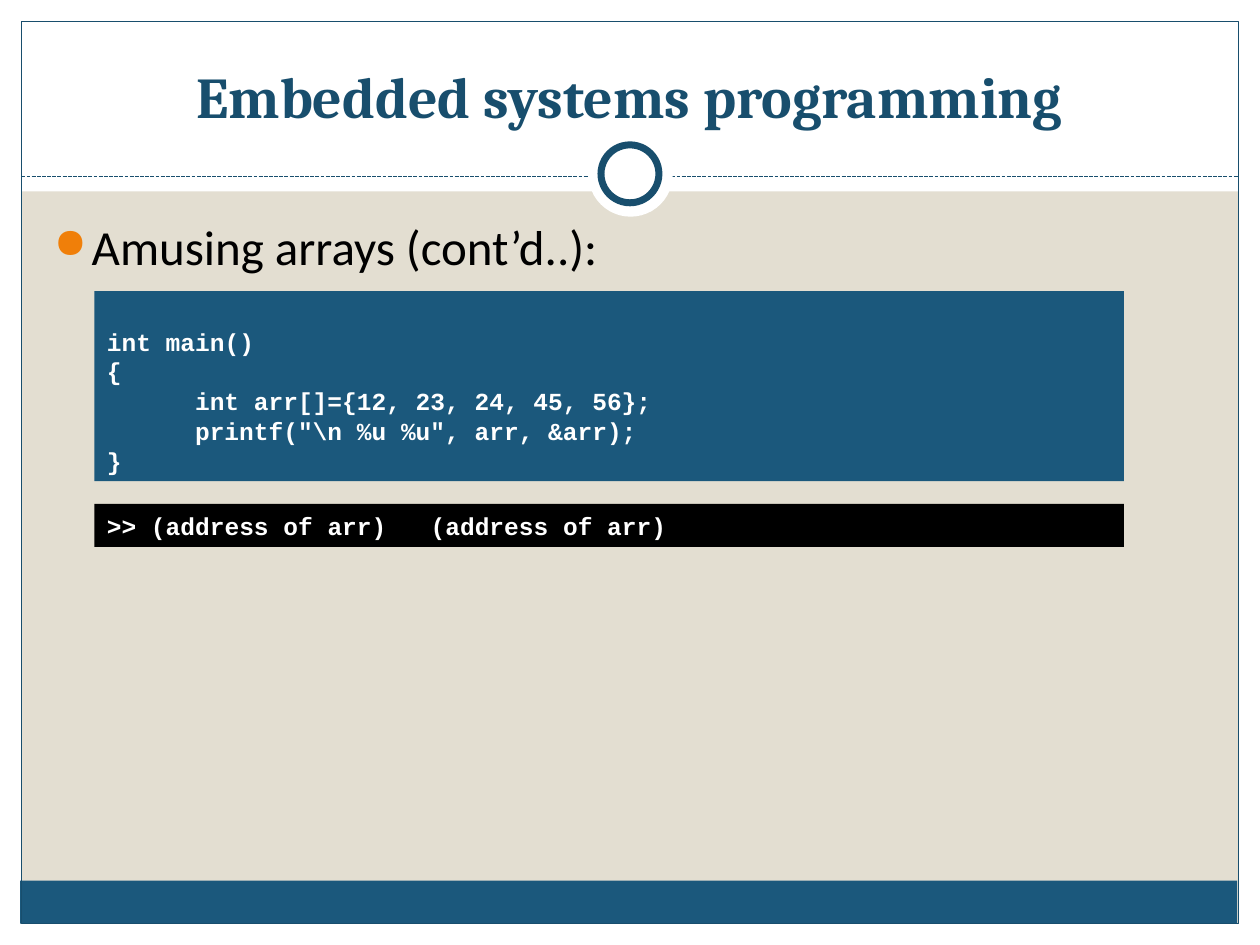
import dataclasses

import lxml.etree
import pptx
import pptx.dml.color
import pptx.enum.dml
import pptx.enum.shapes
import pptx.enum.text
import pptx.oxml.ns
import pptx.util

Inches = pptx.util.Inches
Pt = pptx.util.Pt
ANCHOR = pptx.enum.text.MSO_ANCHOR
ALIGN = pptx.enum.text.PP_ALIGN
SHAPE = pptx.enum.shapes.MSO_SHAPE


@dataclasses.dataclass(frozen=True)
class Theme:
    background: str = "E3DED1"
    white: str = "FFFFFF"
    black: str = "000000"
    navy: str = "184E6D"
    blue: str = "1B587C"
    orange: str = "F07F09"
    title_font: str = "Cambria"
    body_font: str = "Calibri"
    code_font: str = "Courier New"
    title_size: int = 33
    body_size: int = 28
    code_size: int = 14
    code_pitch: int = 17


THEME = Theme()


def rgb(value):
    return pptx.dml.color.RGBColor.from_string(value)


def set_attributes(target, values):
    for name, value in values.items():
        setattr(target, name, value)


def add_xml(parent, tag, **attributes):
    return lxml.etree.SubElement(parent, pptx.oxml.ns.qn(tag), attributes)


def place(shape, left, top, width, height):
    set_attributes(shape, {"left": Inches(left), "top": Inches(top),
                           "width": Inches(width), "height": Inches(height)})


def add_block(slide, kind, box, fill=None, line=None, line_width=0.75):
    shape = slide.shapes.add_shape(kind, *map(Inches, box))
    shape.shadow.inherit = False
    if fill:
        shape.fill.solid()
        shape.fill.fore_color.rgb = rgb(fill)
    else:
        shape.fill.background()
    if line:
        shape.line.color.rgb = rgb(line)
        shape.line.width = Pt(line_width)
    else:
        shape.line.fill.background()
    return shape


def write_text(paragraph, text, font, size, color, bold=False):
    run = paragraph.add_run()
    run.text = text
    set_attributes(run.font, {"name": font, "size": Pt(size), "bold": bold})
    run.font.color.rgb = rgb(color)


def add_frame(slide):
    # White margins, then the footer band and the outline
    margin = 0.17
    for box in ((0, 7.33, 10, margin), (0, 0, 10, 1.52),
                (0, 0, margin, 7.5), (9.83, 0, margin, 7.5)):
        add_block(slide, SHAPE.RECTANGLE, box, THEME.white)
    add_block(slide, SHAPE.RECTANGLE, (0.16, 6.99, 9.66, 0.34), THEME.blue)
    add_block(slide, SHAPE.RECTANGLE, (margin, margin, 9.66, 7.16), line=THEME.navy)

    # Dashed divider with the ring on it
    divider = slide.shapes.add_connector(
        pptx.enum.shapes.MSO_CONNECTOR.STRAIGHT,
        Inches(margin), Inches(1.4), Inches(9.83), Inches(1.4))
    set_attributes(divider.line, {
        "width": Pt(0.75),
        "dash_style": pptx.enum.dml.MSO_LINE.SQUARE_DOT})
    divider.line.color.rgb = rgb(THEME.navy)
    add_xml(divider._element.spPr, "a:effectLst")
    add_block(slide, SHAPE.OVAL, (4.67, 1.05, 0.67, 0.67), THEME.white)
    add_block(slide, SHAPE.OVAL, (4.77, 1.15, 0.46, 0.46), THEME.white, THEME.navy, 4)


def add_title(slide, text):
    title = slide.shapes.title
    place(title, 0.33, 0.25, 9.33, 0.83)
    set_attributes(title.text_frame, {
        "vertical_anchor": ANCHOR.BOTTOM, "word_wrap": True,
        "auto_size": pptx.enum.text.MSO_AUTO_SIZE.NONE})
    paragraph = title.text_frame.paragraphs[0]
    paragraph.alignment = ALIGN.CENTER
    write_text(paragraph, text, THEME.title_font, THEME.title_size, THEME.navy, True)
    # Bring the title in front of the frame
    title._element.getparent().append(title._element)


def add_bullet(slide, text):
    box = slide.shapes.add_textbox(*map(Inches, (0.33, 1.67, 9.3, 5)))
    box.text_frame.word_wrap = True
    paragraph = box.text_frame.paragraphs[0]
    paragraph.alignment = ALIGN.JUSTIFY
    properties = paragraph._p.get_or_add_pPr()
    properties.set("marL", str(Inches(0.3)))
    properties.set("indent", str(Inches(-0.3)))
    add_xml(add_xml(properties, "a:buClr"), "a:srgbClr", val=THEME.orange)
    add_xml(properties, "a:buSzPct", val="85000")
    add_xml(properties, "a:buChar", char="●")
    write_text(paragraph, text, THEME.body_font, THEME.body_size, THEME.black)


def add_code(slide, top, height, fill, lines, tab=None):
    """Each line is a pair of its left indent in inches and its text."""
    panel = add_block(slide, SHAPE.RECTANGLE, (0.75, top, 8.17, height), fill)
    frame = panel.text_frame
    set_attributes(frame, {"word_wrap": True, "vertical_anchor": ANCHOR.BOTTOM})
    for number, (indent, text) in enumerate(lines):
        paragraph = frame.add_paragraph() if number else frame.paragraphs[0]
        set_attributes(paragraph, {"alignment": ALIGN.LEFT,
                                   "line_spacing": Pt(THEME.code_pitch)})
        properties = paragraph._p.get_or_add_pPr()
        properties.set("marL", str(Inches(indent)))
        if tab:
            stops = add_xml(properties, "a:tabLst")
            add_xml(stops, "a:tab", pos=str(Inches(tab)), algn="l")
        write_text(paragraph, text, THEME.code_font, THEME.code_size, THEME.white, True)


def main():
    presentation = pptx.Presentation()
    set_attributes(presentation, {"slide_width": Inches(10),
                                  "slide_height": Inches(7.5)})
    slide = presentation.slides.add_slide(presentation.slide_layouts[5])
    slide.background.fill.solid()
    slide.background.fill.fore_color.rgb = rgb(THEME.background)

    add_frame(slide)
    add_title(slide, "Embedded systems programming")
    add_bullet(slide, "Amusing arrays (cont’d..):")

    # Program and its output
    add_code(slide, 2.31, 1.51, THEME.blue, [
        (0, "int main()"),
        (0, "{"),
        (0.7, "int arr[]={12, 23, 24, 45, 56};"),
        (0.7, 'printf("\\n %u %u", arr, &arr);'),
        (0, "}"),
    ])
    add_code(slide, 4, 0.34, THEME.black,
             [(0, ">> (address of arr)\t(address of arr)")], tab=2.57)

    presentation.save("out.pptx")


if __name__ == "__main__":
    main()
